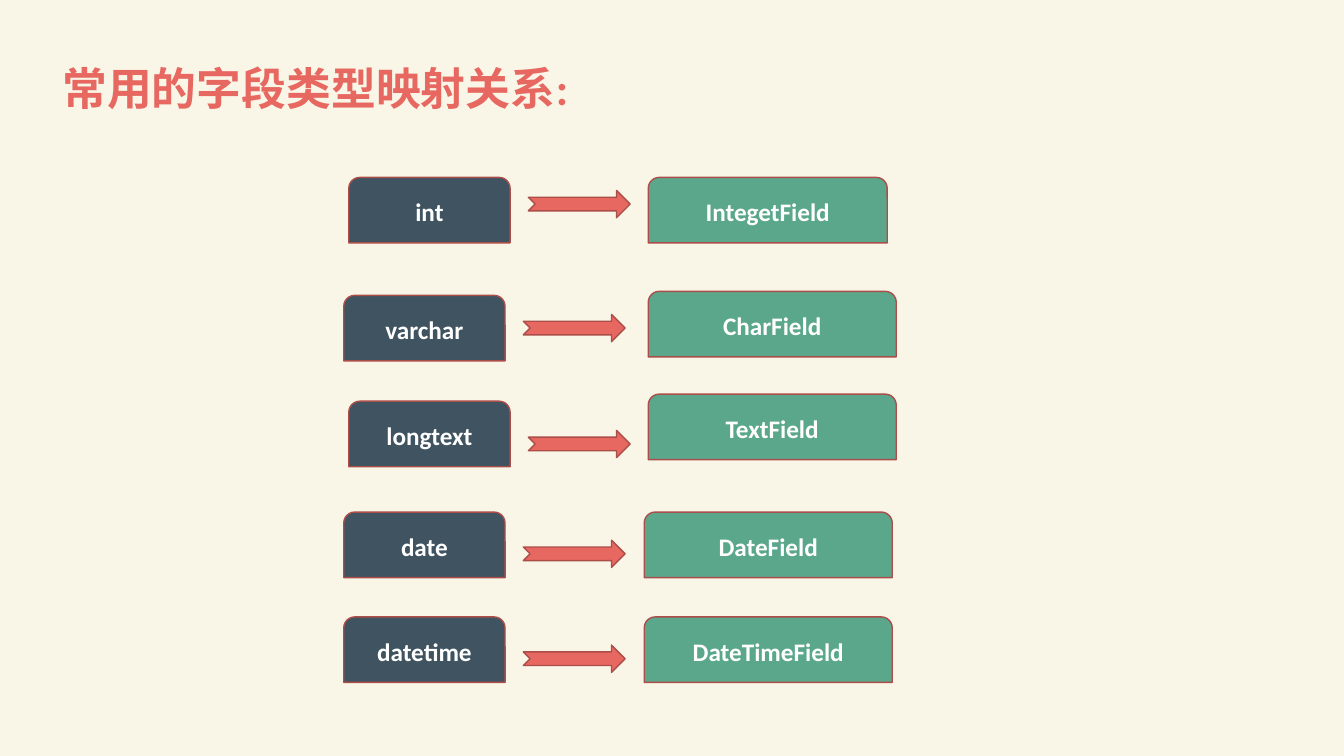
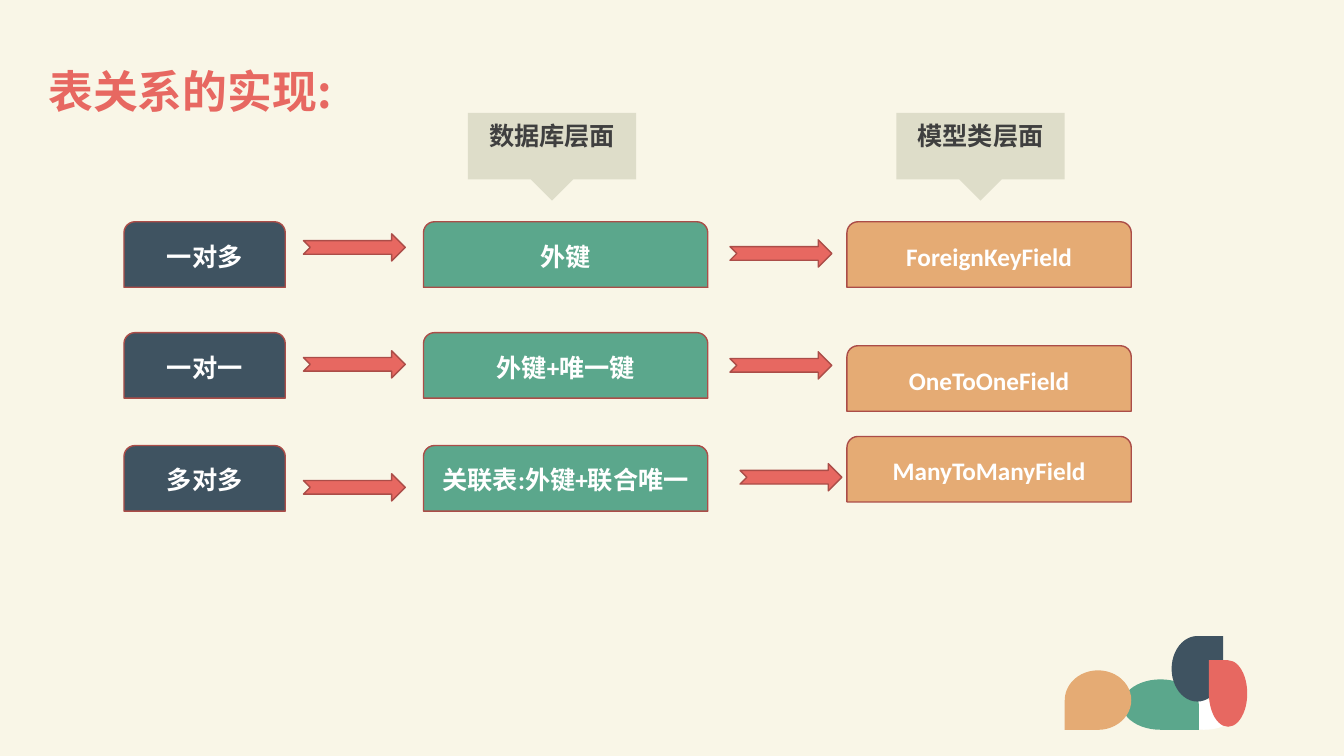
from lxml.etree import SubElement
from pptx import Presentation
from pptx.dml.color import RGBColor
from pptx.enum.shapes import MSO_SHAPE as Preset
from pptx.enum.text import MSO_ANCHOR as Anchor, PP_ALIGN as Align
from pptx.oxml.ns import qn
from pptx.util import Inches, Pt

# Shared colours and fonts
CREAM = RGBColor(0xF9, 0xF6, 0xE7)
CORAL = RGBColor(0xE7, 0x68, 0x61)
BRICK = RGBColor(0xAB, 0x4D, 0x48)
NAVY = RGBColor(0x3F, 0x53, 0x61)
GREEN = RGBColor(0x5B, 0xA7, 0x8C)
TAN = RGBColor(0xE5, 0xAB, 0x74)
SAND = RGBColor(0xDE, 0xDD, 0xC9)
CHARCOAL = RGBColor(0x3F, 0x3F, 0x3F)
WHITE = RGBColor(0xFF, 0xFF, 0xFF)
LATIN, CHINESE = "Calibri", "Noto Sans CJK SC"

# Shared sizes in inches
TITLE_W, TITLE_H = 12.29, 1.06
TERM_W, BOX_H = 1.6, 0.65
ARROW_W, ARROW_H = 1.01, 0.27
ARROW_OFFSET = 1.78  # from a term's left edge to its arrow

# Text formats
TITLE_TEXT = {"size": Pt(32), "bold": True, "name": LATIN}
LABEL_TEXT = {"size": Pt(18), "bold": True, "name": LATIN}


def write(shape, text, color, formats, align=Align.CENTER):
    """Put one formatted paragraph into a shape and return it."""
    frame = shape.text_frame
    frame.word_wrap = True
    frame.vertical_anchor = Anchor.MIDDLE
    paragraph = frame.paragraphs[0]
    paragraph.alignment = align
    run = paragraph.add_run()
    run.text = text
    run.font.color.rgb = color
    for key, value in formats.items():
        setattr(run.font, key, value)
    SubElement(run._r.get_or_add_rPr(), qn("a:ea"), typeface=CHINESE)
    return paragraph


def paint(shape, fill, line=None):
    shape.shadow.inherit = False
    shape.fill.solid()
    shape.fill.fore_color.rgb = fill
    if line is None:
        shape.line.fill.background()
    else:
        shape.line.color.rgb = line
        shape.line.width = Pt(1)


def add_preset(slide, preset, left, top, width, height, fill, line=None):
    shape = slide.shapes.add_shape(
        preset, Inches(left), Inches(top), Inches(width), Inches(height))
    paint(shape, fill, line)
    return shape


def add_title(slide, left, top, text, font=LATIN):
    title = slide.shapes.add_textbox(
        Inches(left), Inches(top), Inches(TITLE_W), Inches(TITLE_H))
    paragraph = write(title, text, CORAL, TITLE_TEXT | {"name": font}, Align.LEFT)
    paragraph.line_spacing = 0.9


def add_box(slide, left, top, width, text, fill):
    box = add_preset(slide, Preset.ROUND_2_SAME_RECTANGLE,
                     left, top, width, BOX_H, fill, BRICK)
    write(box, text, WHITE, LABEL_TEXT)


def add_arrow(slide, left, top):
    add_preset(slide, Preset.NOTCHED_RIGHT_ARROW,
               left, top, ARROW_W, ARROW_H, CORAL, BRICK)


def add_term(slide, left, top, text, arrow_top):
    """A dark term box with the arrow that leaves it."""
    add_box(slide, left, top, TERM_W, text, NAVY)
    add_arrow(slide, left + ARROW_OFFSET, arrow_top)


def add_heading(slide, left, top, text):
    """Column heading: a band with a pointer below its middle."""
    width, band, height, half_tip = 1.67, 0.66, 0.87, 0.21
    middle = width / 2
    outline = [(width, 0), (width, band), (middle + half_tip, band),
               (middle, height), (middle - half_tip, band), (0, band)]
    builder = slide.shapes.build_freeform(Inches(left), Inches(top))
    builder.add_line_segments(
        [(Inches(left + x), Inches(top + y)) for x, y in outline])
    heading = builder.convert_to_shape()
    paint(heading, SAND)
    write(heading, text, CHARCOAL, LABEL_TEXT)
    margins = {"margin_left": 0.1, "margin_top": 0.05,
               "margin_right": 0.1, "margin_bottom": 0.47}
    for key, value in margins.items():
        setattr(heading.text_frame, key, Inches(value))


def add_petal(slide, left, top, width, height, fill, turn):
    """An oval with one square corner; turn rotates it from the top right."""
    if turn % 180:
        left, top = left + (width - height) / 2, top + (height - width) / 2
        width, height = height, width
    petal = add_preset(slide, Preset.TEAR, left, top, width, height, fill)
    petal.rotation = turn


def add_ornament(slide, left, top):
    add_preset(slide, Preset.OVAL, left + 1.08, top + 0.63, 0.6, 0.3, WHITE)
    petals = [
        (0.57, 0.43, 0.76, 0.5, GREEN, 90),
        (1.06, 0, 0.51, 0.65, NAVY, 0),
        (1.43, 0.24, 0.38, 0.66, CORAL, 270),
        (0, 0.34, 0.66, 0.59, TAN, 180),
    ]
    for x, y, *look in petals:
        add_petal(slide, left + x, top + y, *look)


def build_field_types(slide):
    add_title(slide, 0.52, 0.37, "常用的字段类型映射关系:")
    # Term, its left and top, arrow top, field, its left, top and width
    rows = [
        ("int", 3.46, 1.76, 1.89, "IntegetField", 6.43, 1.76, 2.37),
        ("varchar", 3.41, 2.93, 3.12, "CharField", 6.43, 2.89, 2.46),
        ("longtext", 3.46, 3.98, 4.27, "TextField", 6.43, 3.91, 2.46),
        ("date", 3.41, 5.08, 5.36, "DateField", 6.39, 5.08, 2.46),
        ("datetime", 3.41, 6.12, 6.4, "DateTimeField", 6.39, 6.12, 2.46),
    ]
    for term, left, top, arrow_top, field, field_left, field_top, width in rows:
        add_term(slide, left, top, term, arrow_top)
        add_box(slide, field_left, field_top, width, field, GREEN)


def build_relations(slide):
    add_title(slide, 0.38, 0.4, "表关系的实现:", CHINESE)
    add_ornament(slide, 10.56, 6.31)
    # Relation, key, shared top, first arrow top, second arrow, model field
    rows = [
        ("一对多", "外键", 2.2, 2.32, (7.24, 2.38), "ForeignKeyField", 2.2),
        ("一对一", "外键+唯一键", 3.3, 3.48, (7.24, 3.49), "OneToOneField", 3.43),
        ("多对多", "关联表:外键+联合唯一", 4.42, 4.7, (7.34, 4.6),
         "ManyToManyField", 4.33),
    ]
    for relation, key, top, arrow_top, model_arrow, model, model_top in rows:
        add_term(slide, 1.23, top, relation, arrow_top)
        add_box(slide, 4.2, top, 2.82, key, GREEN)
        add_arrow(slide, *model_arrow)
        add_box(slide, 8.4, model_top, 2.82, model, TAN)
    for left, text in [(4.64, "数据库层面"), (8.89, "模型类层面")]:
        add_heading(slide, left, 1.12, text)


def main():
    prs = Presentation()
    prs.slide_width, prs.slide_height = Inches(13.33), Inches(7.5)
    backdrop = prs.slide_master.background.fill
    backdrop.solid()
    backdrop.fore_color.rgb = CREAM
    for build in (build_field_types, build_relations):
        build(prs.slides.add_slide(prs.slide_layouts[6]))
    prs.save("out.pptx")


if __name__ == "__main__":
    main()
